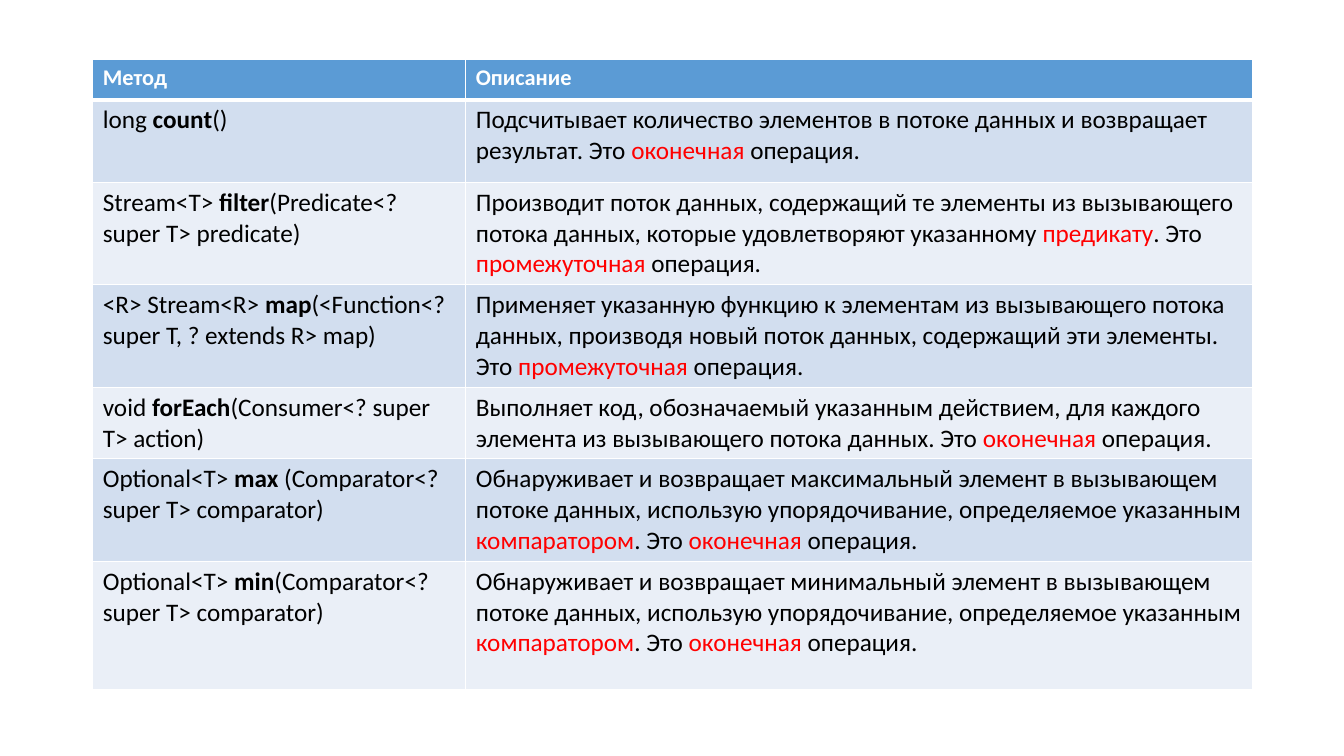
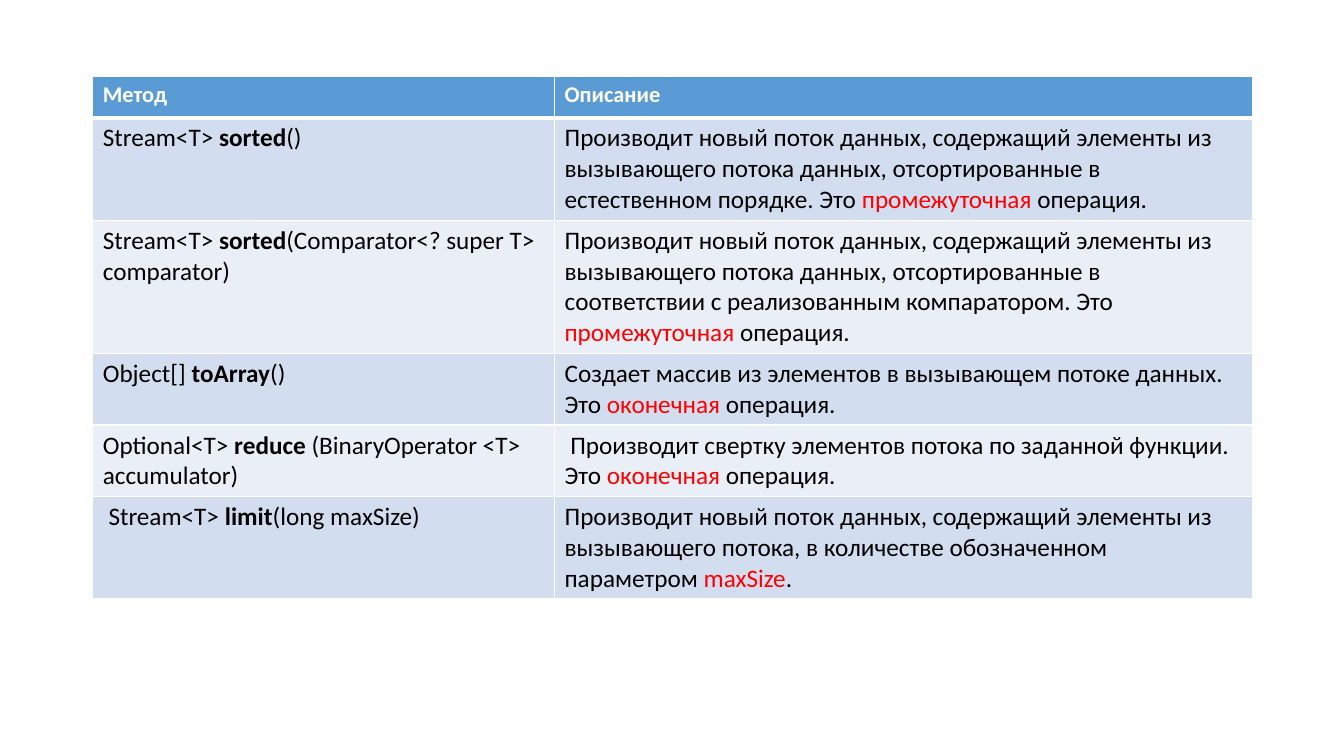
"""Build two slides with tables of stream methods and their descriptions."""
from lxml.etree import fromstring
from pptx import Presentation
from pptx.dml.color import RGBColor
from pptx.oxml.ns import nsdecls
from pptx.util import Inches, Pt

WHITE, BLACK, RED = "FFFFFF", "000000", "FF0000"
HEADER_FILL = "5B9BD5"
BAND_FILLS = ["EAEFF7", "D2DEEF"]
FONT = "Calibri"
TABLE_LEFT = 0.92
HEADER = ("Метод", "Описание")


def paint(color_format, color):
    color_format.rgb = RGBColor.from_string(color)


def add_border(cell, side, position, width):
    line = fromstring(
        f'<a:ln{side} {nsdecls("a")} w="{Pt(width)}"><a:solidFill>'
        f'<a:srgbClr val="{WHITE}"/></a:solidFill></a:ln{side}>')
    cell._tc.get_or_add_tcPr().insert(position, line)


# Asterisks enclose the bold part of a method and the red parts of a description.
tables = [
    {
        "top": 0.59,
        "columns": [3.7, 7.8],
        "heights": [0.4, 0.82, 0.98, 0.98, 0.69, 0.98, 1.27],
        "methods": [
            ("long *count*()",
             "Подсчитывает количество элементов в потоке данных и возвращает "
             "результат. Это *оконечная *операция. "),
            ("Stream<T> *filter*(Predicate<? super T> predicate)",
             "Производит поток данных, содержащий те элементы из вызывающего "
             "потока данных, которые удовлетворяют указанному *предикату*. Это "
             "*промежуточная *операция."),
            ("<R> Stream<R> *map*(<Function<? super T, ? extends R> map)",
             "Применяет указанную функцию к элементам из вызывающего потока "
             "данных, производя новый поток данных, содержащий эти элементы. "
             "Это *промежуточная *операция."),
            ("void *forEach*(Consumer<? super T> action)",
             "Выполняет код, обозначаемый указанным действием, для каждого "
             "элемента из вызывающего потока данных. Это *оконечная *операция. "),
            ("Optional<T> *max* (Comparator<? super T> comparator)",
             "Обнаруживает и возвращает максимальный элемент в вызывающем "
             "потоке данных, использую упорядочивание, определяемое указанным "
             "*компаратором*. Это *оконечная *операция. "),
            ("Optional<T> *min*(Comparator<? super T> comparator)",
             "Обнаруживает и возвращает минимальный элемент в вызывающем "
             "потоке данных, использую упорядочивание, определяемое указанным "
             "*компаратором*. Это *оконечная *операция. "),
        ],
    },
    {
        "top": 0.76,
        "columns": [4.58, 6.92],
        "heights": [0.41, 1, 1.3, 0.7, 0.7, 1],
        "methods": [
            ("Stream<T> *sorted*()",
             "Производит новый поток данных, содержащий элементы из "
             "вызывающего потока данных, отсортированные в естественном "
             "порядке. Это *промежуточная *операция."),
            ("Stream<T> *sorted*(Comparator<? super T> comparator)",
             "Производит новый поток данных, содержащий элементы из "
             "вызывающего потока данных, отсортированные в соответствии с "
             "реализованным компаратором. Это *промежуточная *операция."),
            ("Object[] *toArray*()",
             "Создает массив из элементов в вызывающем потоке данных. "
             "Это *оконечная *операция. "),
            ("Optional<T> *reduce *(BinaryOperator <T> accumulator)",
             "\u00a0Производит свертку элементов потока по заданной функции. "
             "Это *оконечная *операция. "),
            (" Stream<T> *limit*(long maxSize)",
             "Производит новый поток данных, содержащий элементы из "
             "вызывающего потока, в количестве обозначенном параметром "
             "*maxSize*."),
        ],
    },
]

deck = Presentation()
deck.slide_width, deck.slide_height = Inches(13.33), Inches(7.5)

for content in tables:
    page = deck.slides.add_slide(deck.slide_layouts[6])
    rows = [HEADER] + content["methods"]
    table = page.shapes.add_table(
        len(rows), len(HEADER), Inches(TABLE_LEFT), Inches(content["top"]),
        Inches(sum(content["columns"])), Inches(sum(content["heights"]))).table
    for column, width in zip(table.columns, content["columns"]):
        column.width = Inches(width)
    for row, height in zip(table.rows, content["heights"]):
        row.height = Inches(height)

    for row_index, texts in enumerate(rows):
        is_header = row_index == 0
        for column_index, text in enumerate(texts):
            cell = table.cell(row_index, column_index)
            cell.fill.solid()
            paint(cell.fill.fore_color,
                  HEADER_FILL if is_header else BAND_FILLS[row_index % 2])
            for position, side in enumerate("LRTB"):
                under_header = (side, row_index) in [("B", 0), ("T", 1)]
                add_border(cell, side, position, 3 if under_header else 1)

            para = cell.text_frame.paragraphs[0]
            for part_index, part in enumerate(text.split("*")):
                marked = part_index % 2 == 1
                span = para.add_run()
                span.text = part
                span.font.name = FONT
                span.font.size = Pt(16 if is_header else 18)
                span.font.bold = is_header or (marked and column_index == 0)
                if is_header:
                    color = WHITE
                else:
                    color = RED if marked and column_index == 1 else BLACK
                paint(span.font.color, color)

deck.save("out.pptx")
